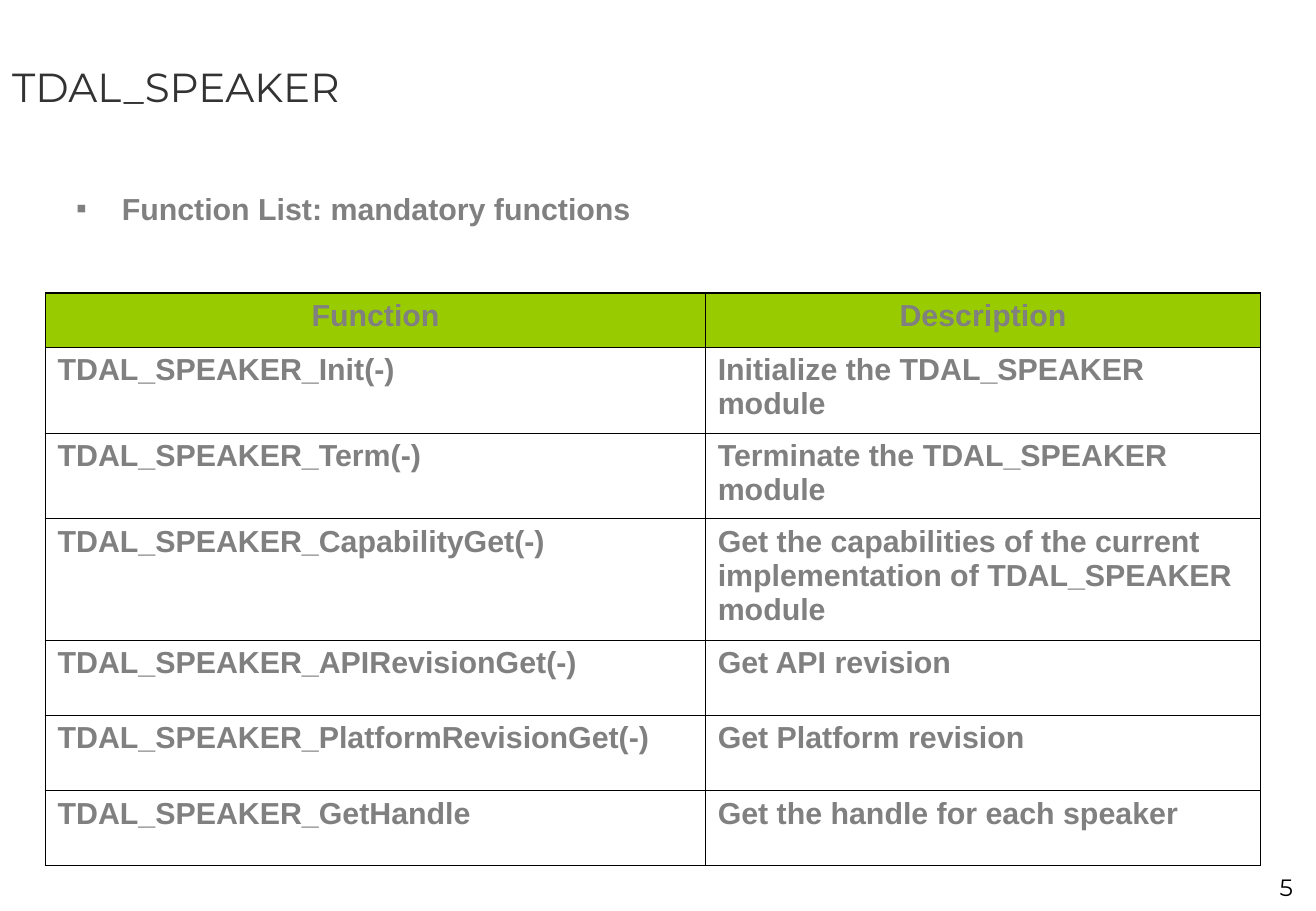
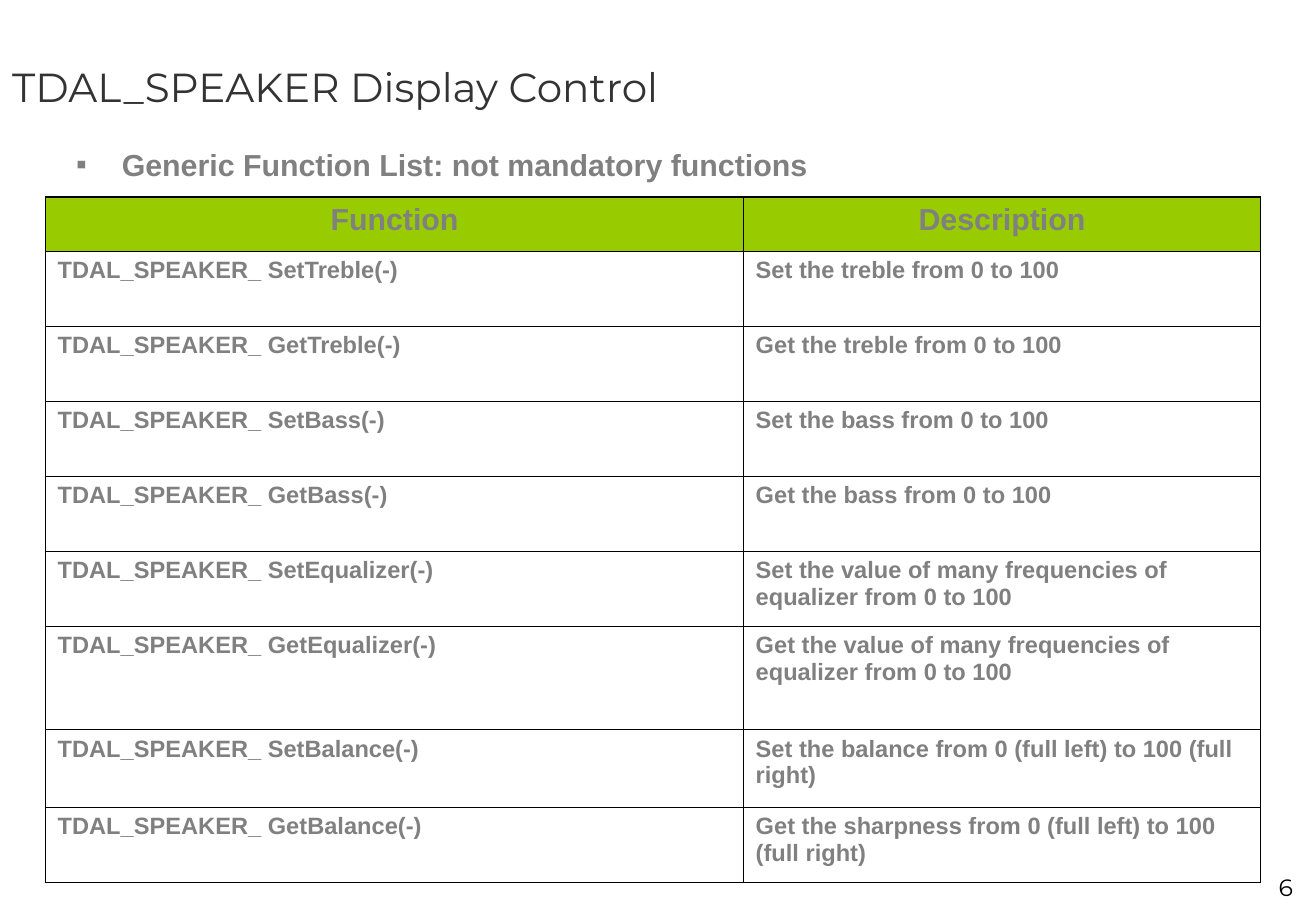
from lxml.etree import SubElement
from pptx import Presentation
from pptx.dml.color import RGBColor
from pptx.enum.text import MSO_ANCHOR, MSO_AUTO_SIZE, PP_ALIGN
from pptx.oxml.ns import qn
from pptx.util import Pt

COLORS = {"title": "333333", "text": "808080", "header": "99CC00", "line": "000000"}
TITLE_FONT, BODY_FONT = "Montserrat", "Arial"
THICK, THIN = 1.08, 0.45
TABLE_LEFT = 27
HEADER = ("Function", "Description")

SLIDES = [
    {
        "title": "TDAL_SPEAKER",
        "number": 5,
        "bullet": "Function List: mandatory functions",
        "bullet_top": 109,
        "table_top": 173.5,
        "cols": (391.5, 329),
        "heights": (32.4, 50.7, 50.7, 72.3, 44.5, 44.5, 44.5),
        "size": 18,
        "rows": [
            ("TDAL_SPEAKER_Init(-)", "Initialize the TDAL_SPEAKER module"),
            ("TDAL_SPEAKER_Term(-)", "Terminate the TDAL_SPEAKER module"),
            ("TDAL_SPEAKER_CapabilityGet(-)",
             "Get the capabilities of the current implementation of TDAL_SPEAKER module"),
            ("TDAL_SPEAKER_APIRevisionGet(-)", "Get API revision"),
            ("TDAL_SPEAKER_PlatformRevisionGet(-)", "Get Platform revision"),
            ("TDAL_SPEAKER_GetHandle", "Get the handle for each speaker"),
        ],
    },
    {
        "title": "TDAL_SPEAKER Display Control",
        "number": 6,
        "bullet": "Generic Function List: not mandatory functions",
        "bullet_top": 83,
        "table_top": 116.7,
        "cols": (414, 306.5),
        "heights": (32.2, 44.5, 44.5, 44.5, 44.5, 44.5, 61.2, 46.1, 44.5),
        "size": 14,
        "rows": [
            ("TDAL_SPEAKER_ SetTreble(-)", "Set the treble from 0 to 100"),
            ("TDAL_SPEAKER_ GetTreble(-)", "Get the treble from 0 to 100"),
            ("TDAL_SPEAKER_ SetBass(-)", "Set the bass from 0 to 100"),
            ("TDAL_SPEAKER_ GetBass(-)", "Get the bass from 0 to 100"),
            ("TDAL_SPEAKER_ SetEqualizer(-)",
             "Set the value of many frequencies of equalizer from 0 to 100"),
            ("TDAL_SPEAKER_ GetEqualizer(-)",
             "Get the value of many frequencies of equalizer from 0 to 100"),
            ("TDAL_SPEAKER_ SetBalance(-)",
             "Set the balance from 0 (full left) to 100 (full right)"),
            ("TDAL_SPEAKER_ GetBalance(-)",
             "Get the sharpness from 0 (full left) to 100 (full right)"),
        ],
    },
]


def rgb(name):
    return RGBColor.from_string(COLORS[name])


def write(tf, text, size, font, color, bold=False, align=PP_ALIGN.LEFT):
    tf.text = text
    tf.word_wrap = True
    p = tf.paragraphs[0]
    p.alignment = align
    f = p.runs[0].font
    f.size, f.name, f.bold = Pt(size), font, bold
    f.color.rgb = rgb(color)
    return p


def place(sp, left, top, width, height):
    sp.left, sp.top, sp.width, sp.height = Pt(left), Pt(top), Pt(width), Pt(height)


def add_title(s, text, box):
    sp = s.shapes.title
    place(sp, *box)
    tf = sp.text_frame
    tf.auto_size = MSO_AUTO_SIZE.NONE
    tf.vertical_anchor = MSO_ANCHOR.MIDDLE
    write(tf, text, 24, TITLE_FONT, "title")


def add_bullet(s, text, box):
    sp = s.placeholders[1]
    place(sp, *box)
    tf = sp.text_frame
    tf.auto_size = MSO_AUTO_SIZE.NONE
    p = write(tf, text, 18, BODY_FONT, "text", bold=True)
    p.space_before = Pt(4.5)
    pPr = p._p.get_or_add_pPr()
    pPr.set("marL", str(Pt(27)))
    pPr.set("indent", str(-Pt(27)))
    clr = SubElement(pPr, qn("a:buClr"))
    SubElement(clr, qn("a:srgbClr"), val=COLORS["text"])
    SubElement(pPr, qn("a:buFont"), typeface=BODY_FONT)
    SubElement(pPr, qn("a:buChar"), char="▪")


def set_borders(cell, outer):
    tcPr = cell._tc.get_or_add_tcPr()
    for side in "LRTB":
        width = THICK if side in outer else THIN
        ln = SubElement(tcPr, qn("a:ln" + side), w=str(Pt(width)))
        fill = SubElement(ln, qn("a:solidFill"))
        SubElement(fill, qn("a:srgbClr"), val=COLORS["line"])


def add_function_table(s, left, top, cols, heights, rows, size):
    rows = [HEADER, *rows]
    table = s.shapes.add_table(len(rows), len(cols), Pt(left), Pt(top),
                               Pt(sum(cols)), Pt(sum(heights))).table
    table.first_row = table.horz_banding = False
    for col, width in zip(table.columns, cols):
        col.width = Pt(width)
    for i, (row, height) in enumerate(zip(table.rows, heights)):
        row.height = Pt(height)
        is_header = i == 0
        edge = "T" if is_header else "B" if i == len(rows) - 1 else ""
        for j, cell in enumerate(row.cells):
            set_borders(cell, edge + "LR"[j])
            if is_header:
                cell.fill.solid()
                cell.fill.fore_color.rgb = rgb("header")
            else:
                cell.fill.background()
            text_size = 18 if is_header else size
            p = write(cell.text_frame, rows[i][j], text_size, BODY_FONT, "text", True,
                      PP_ALIGN.CENTER if is_header else PP_ALIGN.LEFT)
            p.space_before = Pt(text_size / 4)


def add_number(s, number, box):
    sp = s.shapes.add_textbox(*map(Pt, box))
    write(sp.text_frame, str(number), 14, TITLE_FONT, "line", align=PP_ALIGN.RIGHT)


def add_function_slide(prs, data):
    s = prs.slides.add_slide(prs.slide_layouts[1])
    add_title(s, data["title"], (0, 0, 780, 102))
    top = data["bullet_top"]
    add_bullet(s, data["bullet"], (38, top, 714, 439 - top))
    add_function_table(s, TABLE_LEFT, data["table_top"], data["cols"],
                       data["heights"], data["rows"], data["size"])
    add_number(s, data["number"], (690.5, 514, 83.5, 24))


def main():
    prs = Presentation()
    prs.slide_width, prs.slide_height = Pt(780.48), Pt(540)
    for data in SLIDES:
        add_function_slide(prs, data)
    prs.save("out.pptx")


if __name__ == "__main__":
    main()
